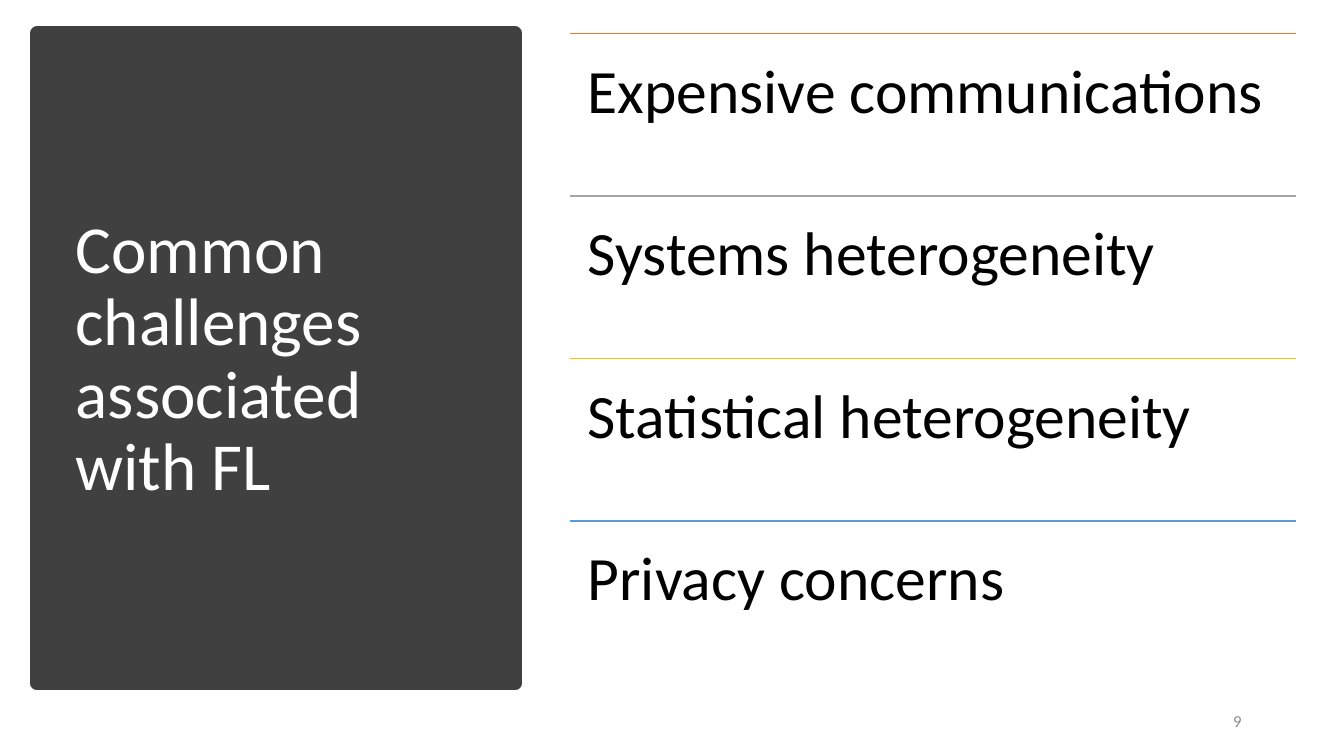
from pptx import Presentation
from pptx.dml.color import RGBColor
from pptx.enum.shapes import MSO_CONNECTOR, MSO_SHAPE
from pptx.enum.text import MSO_ANCHOR, MSO_AUTO_SIZE, PP_ALIGN
from pptx.oxml.ns import qn
from pptx.util import Pt
from lxml.etree import SubElement

FONT = "Calibri"
COLORS = {
    "panel": "404040", "title": "FFFFFF", "text": "000000", "page": "8C8C8C",
    "orange": "ED7D31", "gray": "A5A5A5", "gold": "FFC000", "blue": "5B9BD5",
}
ROWS = [
    ("Expensive communications", "orange"),
    ("Systems heterogeneity", "gray"),
    ("Statistical heterogeneity", "gold"),
    ("Privacy concerns", "blue"),
]
# Panel and rows share the same top and height
TOP, HEIGHT = 23.8, 464.4
LEFT, WIDTH = 406.8, 519.1
PITCH = HEIGHT / len(ROWS)


def color(name):
    return RGBColor.from_string(COLORS[name])


def write(shape, text, size, tint, anchor=MSO_ANCHOR.TOP, align=PP_ALIGN.LEFT):
    frame = shape.text_frame
    frame.text = text
    frame.word_wrap = True
    frame.auto_size = MSO_AUTO_SIZE.NONE
    frame.vertical_anchor = anchor
    line = frame.paragraphs[0]
    line.alignment = align
    font = line.runs[0].font
    font.name, font.size = FONT, Pt(size)
    font.color.rgb = color(tint)
    return frame


def add_panel(slide):
    panel = slide.shapes.add_shape(
        MSO_SHAPE.RECTANGLE, Pt(26.6), Pt(TOP), Pt(341.3), Pt(HEIGHT))
    panel.shadow.inherit = False
    panel.fill.solid()
    panel.fill.fore_color.rgb = color("panel")
    panel.line.color.rgb = color("panel")
    panel.line.width = Pt(10)
    # Send the panel behind the title
    slide.shapes._spTree.insert(2, panel._element)


def set_title(slide, text):
    title = slide.shapes.title
    title.left, title.top = Pt(46.8), Pt(50.4)
    title.width, title.height = Pt(299.5), Pt(414)
    frame = write(title, text, 48, "title", MSO_ANCHOR.MIDDLE)
    frame.paragraphs[0].line_spacing = 0.9


def add_rule(slide, top, tint):
    rule = slide.shapes.add_connector(
        MSO_CONNECTOR.STRAIGHT, Pt(LEFT), Pt(top), Pt(LEFT + WIDTH), Pt(top))
    rule.line.color.rgb = color(tint)
    rule.line.width = Pt(1)
    SubElement(rule._element.spPr, qn("a:effectLst"))


def add_row(slide, top, text, tint):
    add_rule(slide, top, tint)
    box = slide.shapes.add_textbox(Pt(LEFT), Pt(top), Pt(WIDTH), Pt(PITCH))
    frame = write(box, text, 44, "text")
    frame.margin_left = frame.margin_right = Pt(13)
    frame.margin_top = frame.margin_bottom = Pt(13)


def add_page(slide, text):
    box = slide.shapes.add_textbox(Pt(678), Pt(500.4), Pt(216), Pt(28.8))
    write(box, text, 12, "page", MSO_ANCHOR.MIDDLE, PP_ALIGN.RIGHT)


def main():
    deck = Presentation()
    deck.slide_width, deck.slide_height = Pt(960), Pt(540)
    slide = deck.slides.add_slide(deck.slide_layouts[5])

    # Title side
    add_panel(slide)
    set_title(slide, "Common challenges associated with FL")

    # Challenges
    for index, (text, tint) in enumerate(ROWS):
        add_row(slide, TOP + index * PITCH, text, tint)

    # Page number
    add_page(slide, "9")
    deck.save("out.pptx")


main()
